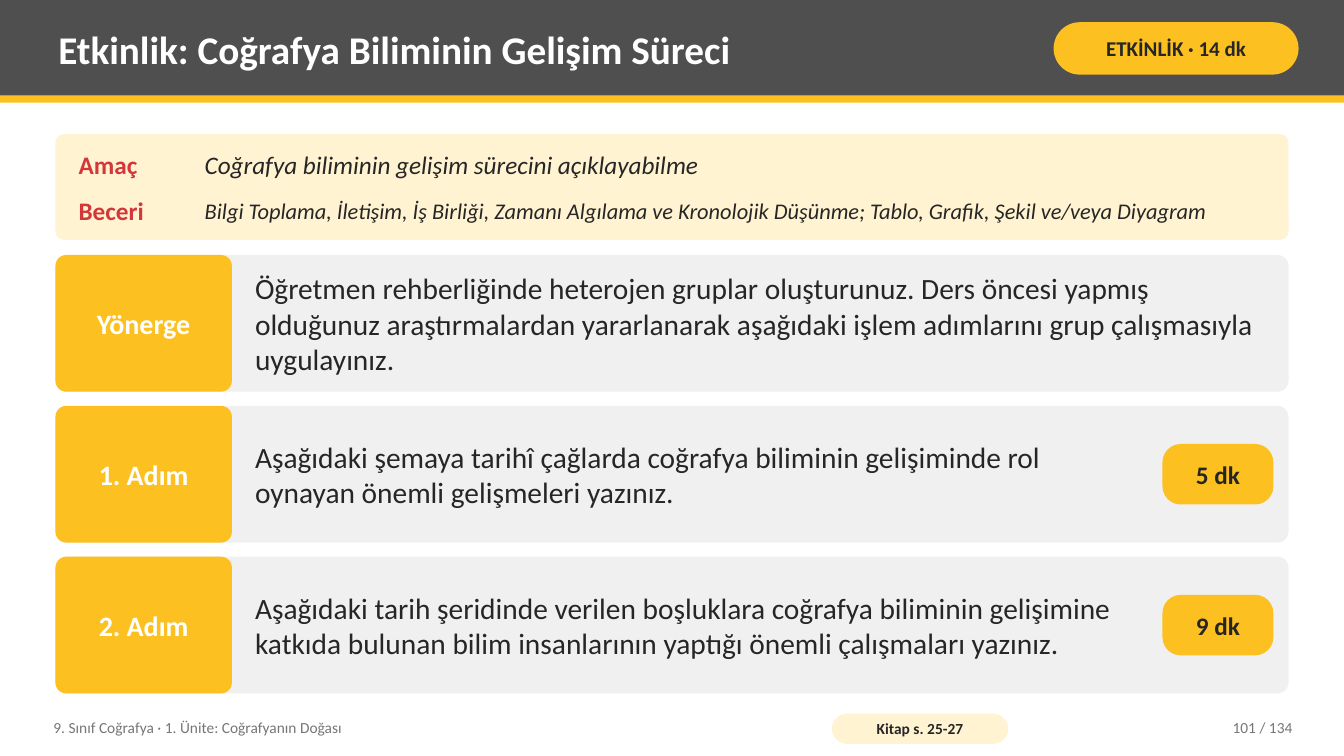
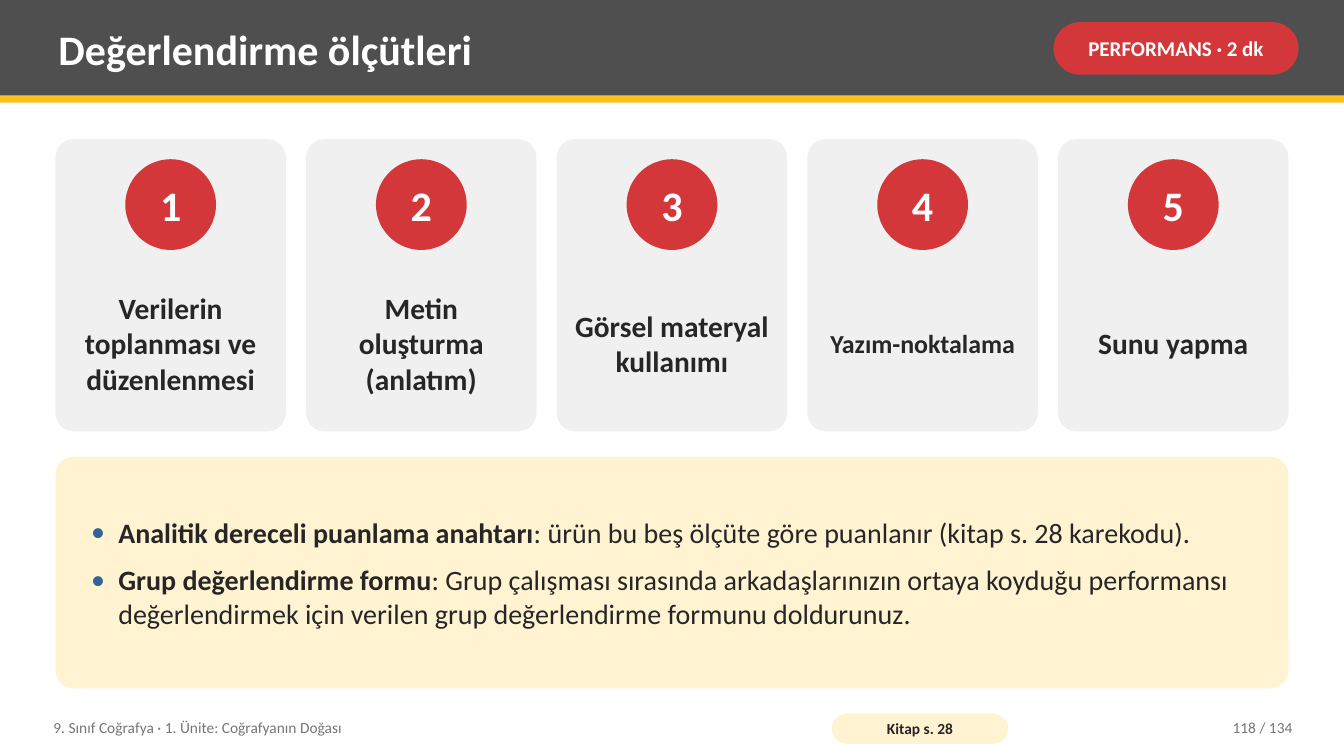
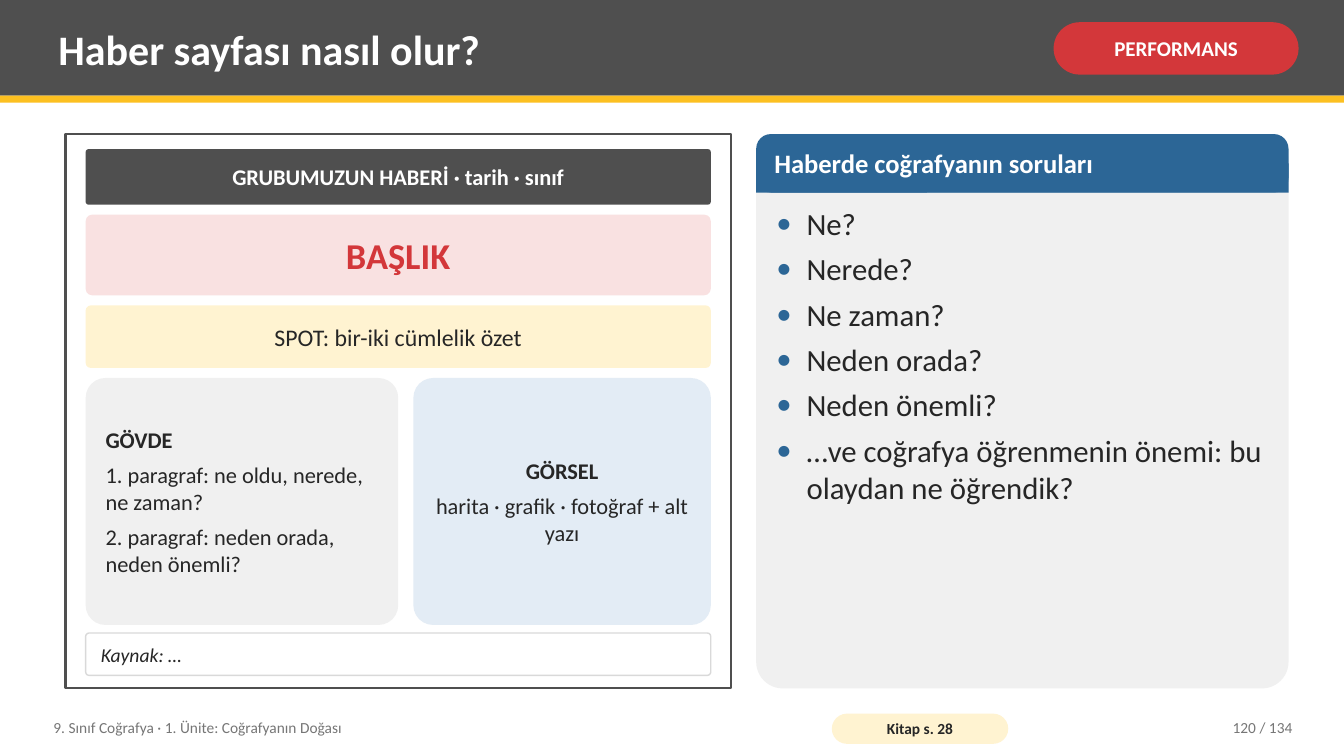
from lxml.etree import SubElement
from pptx import Presentation
from pptx.dml.color import RGBColor
from pptx.enum.shapes import MSO_SHAPE
from pptx.enum.text import MSO_ANCHOR, PP_ALIGN
from pptx.oxml.ns import qn
from pptx.util import Inches, Pt

FONT = "Calibri"
C = {
    "dark": "4F4F4F", "yellow": "FCC021", "red": "D3373A", "blue": "2C6696",
    "cream": "FFF3D1", "panel": "F0F0F0", "pink": "F9E1E1", "sky": "E3ECF5",
    "ink": "262626", "muted": "767676", "rule": "D9D9D9", "white": "FFFFFF",
}
W, H = 13.33, 7.5
LEFT, WIDTH, TOP, BOTTOM = 0.55, 12.23, 1.33, 6.83
RECT, ROUND, OVAL = MSO_SHAPE.RECTANGLE, MSO_SHAPE.ROUNDED_RECTANGLE, MSO_SHAPE.OVAL
TEXT_INS = (0.08, 0.04)
CARD_INS = (0.14, 0.08)
BOLD = {"bold": True}

UNIT = "9. Sınıf Coğrafya · 1. Ünite: Coğrafyanın Doğası"
PAGES = 134

AIMS = [
    ("Amaç", "Coğrafya biliminin gelişim sürecini açıklayabilme", 18, 1.39, 0.49),
    ("Beceri", "Bilgi Toplama, İletişim, İş Birliği, Zamanı Algılama ve Kronolojik Düşünme; "
     "Tablo, Grafik, Şekil ve/veya Diyagram", 16, 1.86, 0.46),
]
STEPS = [
    ("Yönerge", "Öğretmen rehberliğinde heterojen gruplar oluşturunuz. Ders öncesi yapmış "
     "olduğunuz araştırmalardan yararlanarak aşağıdaki işlem adımlarını grup çalışmasıyla "
     "uygulayınız.", None),
    ("1. Adım", "Aşağıdaki şemaya tarihî çağlarda coğrafya biliminin gelişiminde rol oynayan "
     "önemli gelişmeleri yazınız.", "5 dk"),
    ("2. Adım", "Aşağıdaki tarih şeridinde verilen boşluklara coğrafya biliminin gelişimine "
     "katkıda bulunan bilim insanlarının yaptığı önemli çalışmaları yazınız.", "9 dk"),
]
CRITERIA = [
    ("Verilerin toplanması ve düzenlenmesi", 21),
    ("Metin oluşturma (anlatım)", 21),
    ("Görsel materyal kullanımı", 21),
    ("Yazım-noktalama", 18.5),
    ("Sunu yapma", 21),
]
TOOLS = [
    [("Analitik dereceli puanlama anahtarı", BOLD),
     (": ürün bu beş ölçüte göre puanlanır (kitap s. 28 karekodu).", {})],
    [("Grup değerlendirme formu", BOLD),
     (": Grup çalışması sırasında arkadaşlarınızın ortaya koyduğu performansı değerlendirmek "
      "için verilen grup değerlendirme formunu doldurunuz.", {})],
]
BODY = [
    [("GÖVDE", BOLD)],
    "1. paragraf: ne oldu, nerede, ne zaman?",
    "2. paragraf: neden orada, neden önemli?",
]
VISUAL = [[("GÖRSEL", BOLD)], "harita · grafik · fotoğraf + alt yazı"]
NEWS_BLOCKS = [
    ((0.85, 1.48, 6.2, 0.55), "GRUBUMUZUN HABERİ · tarih · sınıf", "dark",
     {"size": 16, "color": "white", "bold": True, "center": True, "adj": 0.05}),
    ((0.85, 2.13, 6.2, 0.8), "BAŞLIK", "pink",
     {"size": 26, "color": "red", "bold": True, "center": True}),
    ((0.85, 3.03, 6.2, 0.62), "SPOT: bir-iki cümlelik özet", "cream",
     {"size": 17, "center": True}),
    ((0.85, 3.75, 3.1, 2.45), BODY, "panel", {"size": 16, "after": 6}),
    ((4.1, 3.75, 2.95, 2.45), VISUAL, "sky", {"size": 16, "after": 6, "center": True}),
    ((0.85, 6.28, 6.2, 0.42), "Kaynak: …", "white",
     {"size": 14, "italic": True, "line": ("rule", 1)}),
]
QUESTIONS = [
    "Ne?", "Nerede?", "Ne zaman?", "Neden orada?", "Neden önemli?",
    "…ve coğrafya öğrenmenin önemi: bu olaydan ne öğrendik?",
]


def rgb(name):
    return RGBColor.from_string(C[name])


def add_bullet(p, indent):
    pPr = p._p.get_or_add_pPr()
    pPr.set("marL", str(Inches(indent)))
    pPr.set("indent", str(-Inches(indent)))
    SubElement(SubElement(pPr, qn("a:buClr")), qn("a:srgbClr")).set("val", C["blue"])
    SubElement(pPr, qn("a:buFont")).set("typeface", FONT)
    SubElement(pPr, qn("a:buChar")).set("char", "•")


def write(sp, text, size, color="ink", bold=False, italic=False, center=False, right=False,
          ins=TEXT_INS, after=0, bullet=0, anchor=MSO_ANCHOR.MIDDLE, wrap=True):
    tf = sp.text_frame
    frame = {"word_wrap": wrap, "vertical_anchor": anchor,
             "margin_left": Inches(ins[0]), "margin_right": Inches(ins[0]),
             "margin_top": Inches(ins[1]), "margin_bottom": Inches(ins[1])}
    for key, value in frame.items():
        setattr(tf, key, value)
    paragraphs = [text] if isinstance(text, str) else text
    for i, runs in enumerate(paragraphs):
        p = tf.add_paragraph() if i else tf.paragraphs[0]
        if bullet:
            add_bullet(p, bullet)
        p.alignment = PP_ALIGN.CENTER if center else PP_ALIGN.RIGHT if right else PP_ALIGN.LEFT
        if after and i < len(paragraphs) - 1:
            p.space_after = Pt(after)
        for words, extra in [(runs, {})] if isinstance(runs, str) else runs:
            r = p.add_run()
            r.text = words
            font = {"name": FONT, "size": Pt(size), "bold": bold, "italic": italic, **extra}
            for key, value in font.items():
                setattr(r.font, key, value)
            r.font.color.rgb = rgb(color)


def add_text(s, at, text, size, **style):
    write(s.shapes.add_textbox(*map(Inches, at)), text, size, **style)


def add_box(s, at, fill, kind=ROUND, adj=0.08, line=None, text=None, **style):
    sp = s.shapes.add_shape(kind, *map(Inches, at))
    sp.shadow.inherit = False
    if kind == ROUND:
        sp.adjustments[0] = adj
    sp.fill.solid()
    sp.fill.fore_color.rgb = rgb(fill)
    if line:
        sp.line.color.rgb = rgb(line[0])
        sp.line.width = Pt(line[1])
    else:
        sp.line.fill.background()
    if text:
        write(sp, text, **style)


def add_page(prs, title, badge, badge_fill, book, number, title_size=30):
    s = prs.slides.add_slide(prs.slide_layouts[6])
    add_box(s, (0, 0, W, 0.95), "dark", RECT)
    add_box(s, (0, 0.95, W, 0.07), "yellow", RECT)
    add_text(s, (0.5, 0.07, 9.75, 0.82), title, title_size, color="white", bold=True)
    add_box(s, (10.45, 0.22, 2.43, 0.52), badge_fill, adj=0.5, text=badge, size=15, bold=True,
            color="ink" if badge_fill == "yellow" else "white", center=True, ins=(0.05, 0.02))
    add_text(s, (0.45, 7.04, 7.6, 0.36), UNIT, 11, color="muted")
    add_box(s, (8.25, 7.08, 1.75, 0.3), "cream", adj=0.5, text=f"Kitap s. {book}", size=11,
            bold=True, center=True, ins=(0.04, 0))
    add_text(s, (11.3, 7.04, 1.6, 0.36), f"{number} / {PAGES}", 11, color="muted", right=True)
    return s


def activity(prs):
    s = add_page(prs, "Etkinlik: Coğrafya Biliminin Gelişim Süreci", "ETKİNLİK · 14 dk",
                 "yellow", "25-27", 101, title_size=28)
    add_box(s, (LEFT, TOP, WIDTH, 1.05), "cream")
    for label, aim, size, y, h in AIMS:
        add_text(s, (0.7, y, 1.25, h), label, 18, color="red", bold=True)
        add_text(s, (1.95, y, 10.63, h), aim, size, italic=True)
    top, gap = 2.53, 0.14
    h = (6.88 - top - gap * (len(STEPS) - 1)) / len(STEPS)
    for i, (label, task, minutes) in enumerate(STEPS):
        y = top + i * (h + gap)
        add_box(s, (LEFT, y, WIDTH, h), "panel")
        add_box(s, (LEFT, y, 1.75, h), "yellow", text=label, size=20, color="white", bold=True,
                center=True, ins=(0.06, 0.08))
        add_text(s, (2.45, y, 8.88 if minutes else 10.23, h), task, 21)
        if minutes:
            add_box(s, (11.53, y + (h - 0.6) / 2, 1.1, 0.6), "yellow", adj=0.3, text=minutes,
                    size=18, bold=True, center=True, ins=(0.03, 0))


def criteria(prs):
    s = add_page(prs, "Değerlendirme ölçütleri", "PERFORMANS · 2 dk", "red", "28", 118)
    top, gap, dot = 1.38, 0.2, 0.9
    w = (WIDTH - gap * (len(CRITERIA) - 1)) / len(CRITERIA)
    for i, (name, size) in enumerate(CRITERIA):
        x = LEFT + i * (w + gap)
        add_box(s, (x, top, w, 2.9), "panel")
        add_box(s, (x + (w - dot) / 2, top + 0.2, dot, dot), "red", OVAL, text=str(i + 1),
                size=30, color="white", bold=True, center=True, ins=(0, 0), wrap=False)
        add_text(s, (x + 0.1, top + 1.25, w - 0.2, 1.55), name, size, bold=True, center=True)
    add_box(s, (LEFT, 4.53, WIDTH, BOTTOM - 4.53), "cream", text=TOOLS, size=20, after=10,
            bullet=0.27, ins=(0.3, 0.08))


def news_page(prs):
    s = add_page(prs, "Haber sayfası nasıl olur?", "PERFORMANS", "red", "28", 120)
    add_box(s, (0.65, TOP, 6.6, BOTTOM - TOP), "white", RECT, line=("dark", 1.5))
    for at, text, fill, style in NEWS_BLOCKS:
        add_box(s, at, fill, text=text, ins=CARD_INS, **style)
    x, w, head = 7.5, 5.28, 0.58
    add_box(s, (x, TOP, w, BOTTOM - TOP), "panel", adj=0.05)
    add_box(s, (x, TOP, w, head), "blue", adj=0.25)
    add_box(s, (x, TOP + head / 2, w, head / 2), "blue", RECT)
    add_text(s, (x + 0.1, TOP, w - 0.2, head), "Haberde coğrafyanın soruları", 19,
             color="white", bold=True)
    add_text(s, (x + 0.12, 1.99, w - 0.24, 4.76), QUESTIONS, 22, after=6, bullet=0.3,
             anchor=MSO_ANCHOR.TOP)


def main():
    prs = Presentation()
    prs.slide_width, prs.slide_height = Inches(W), Inches(H)
    for build in (activity, criteria, news_page):
        build(prs)
    prs.save("out.pptx")


if __name__ == "__main__":
    main()
